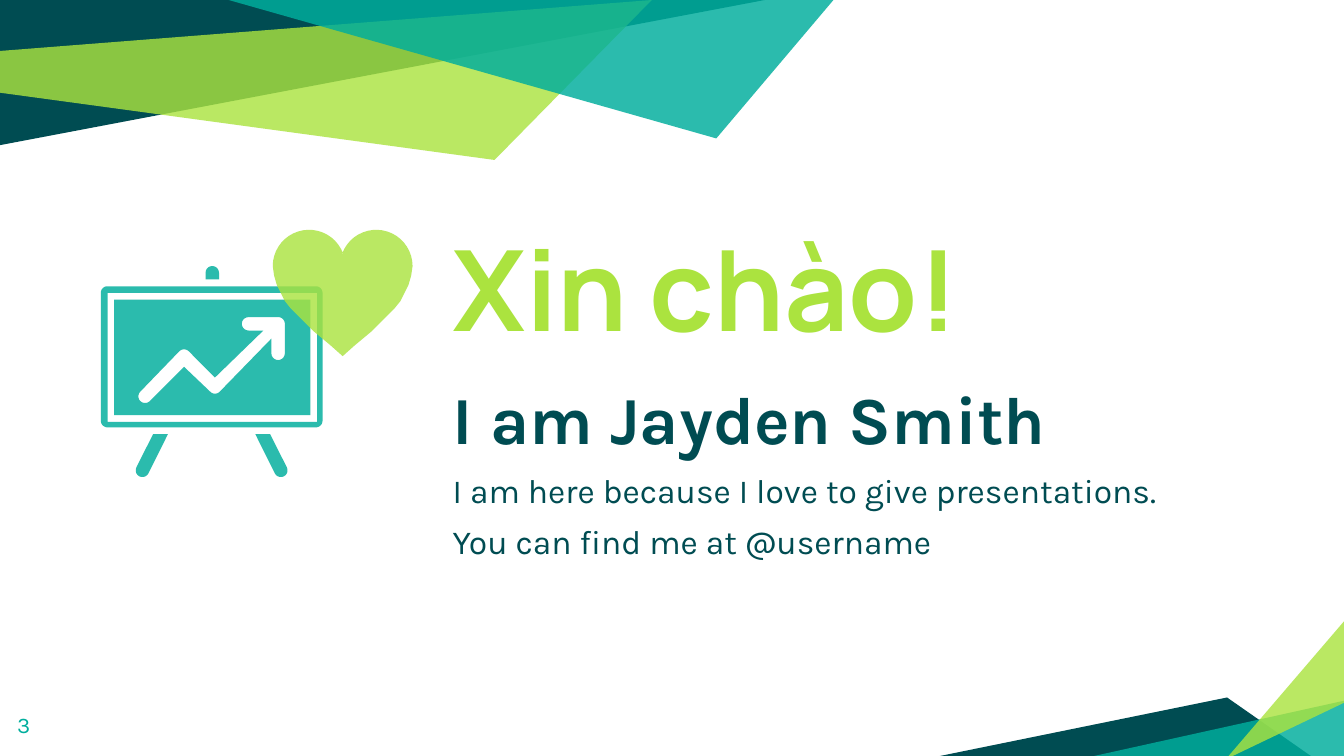
import math

import pptx
import pptx.dml.color
import pptx.enum.text
import pptx.oxml
import pptx.oxml.ns
import pptx.util

Inches = pptx.util.Inches
RGBColor = pptx.dml.color.RGBColor
Anchor = pptx.enum.text.MSO_ANCHOR

NAVY = RGBColor(0x00, 0x4C, 0x52)
TEAL = RGBColor(0x00, 0xAE, 0x9D)
LIME = RGBColor(0xAB, 0xE3, 0x3F)
OPACITY = {NAVY: 100, TEAL: 83, LIME: 81}

HEADLINE = {"name": "Manrope", "size": pptx.util.Pt(60), "bold": True}
SPEAKER = {"name": "Karla", "size": pptx.util.Pt(36), "bold": True}
DETAIL = {"name": "Karla", "size": pptx.util.Pt(18), "bold": False}
NUMBER = {"name": "Karla", "size": pptx.util.Pt(12), "bold": False}


def arc(x, y, radius, start, end, steps=10):
    """Return points on an arc; degrees run clockwise from the right."""
    angles = [math.radians(start + (end - start) * i / steps) for i in range(steps + 1)]
    return [(x + radius * math.cos(a), y + radius * math.sin(a)) for a in angles]


def rectangle(left, top, right, bottom):
    """Return the corners of a rectangle."""
    return [(left, top), (right, top), (right, bottom), (left, bottom)]


def add_outline(slide, origin, color, *contours):
    """Draw closed contours, given in inches from origin, as one filled shape."""
    placed = [[(Inches(origin[0] + x), Inches(origin[1] + y)) for x, y in contour]
              for contour in contours]
    builder = slide.shapes.build_freeform(*placed[0][0])
    for index, contour in enumerate(placed):
        if index:
            builder.move_to(*contour[0])
        builder.add_line_segments(contour[1:], close=True)
    shape = builder.convert_to_shape()
    shape.shadow.inherit = False
    shape.line.fill.background()
    shape.fill.solid()
    shape.fill.fore_color.rgb = color
    if OPACITY[color] < 100:
        tint = shape.fill._xPr.find(".//" + pptx.oxml.ns.qn("a:srgbClr"))
        tint.append(pptx.oxml.parse_xml(
            '<a:alpha xmlns:a="http://schemas.openxmlformats.org/drawingml/2006/main"'
            f' val="{OPACITY[color] * 1000}"/>'))


def add_text(slide, box, lines, anchor=Anchor.TOP, space_before=0, line_spacing=1.0):
    """Place lines of (wording, color, font format) in a box."""
    frame = slide.shapes.add_textbox(*map(Inches, box)).text_frame
    layout = {"word_wrap": True, "vertical_anchor": anchor}
    layout.update({f"margin_{side}": Inches(0.1) for side in ("left", "top", "right", "bottom")})
    for key, value in layout.items():
        setattr(frame, key, value)
    for index, (wording, color, style) in enumerate(lines):
        paragraph = frame.add_paragraph() if index else frame.paragraphs[0]
        paragraph.space_before = pptx.util.Pt(space_before)
        paragraph.line_spacing = line_spacing
        run = paragraph.add_run()
        run.text = wording
        run.font.color.rgb = color
        for key, value in style.items():
            setattr(run.font, key, value)


def add_top_bands(slide, origin):
    """Draw the navy and lime bands of the top left corner."""
    add_outline(slide, origin, NAVY, [(0, 0), (0, 1.08), (5.69, 0)])
    add_outline(slide, origin, LIME, [(-0.01, 0.38), (0, 0.69), (3.68, 1.19), (4.85, 0)])


def add_bottom_bands(slide, origin):
    """Draw the three bands of the bottom right corner."""
    add_outline(slide, origin, NAVY, [(0, 1.03), (2.79, 1.03), (2.16, 0.59)])
    add_outline(slide, origin, TEAL, [(3.05, 0.61), (3.05, 1.05), (1.06, 1.05)])
    add_outline(slide, origin, LIME, [(3.05, 0.62), (3.05, 0), (2.15, 1.05)])


def add_teal_band(slide, origin):
    """Draw the teal band that overlaps the top bands."""
    add_outline(slide, origin, TEAL, [(0, 0), (3.63, 1.03), (4.51, -0.01), (4.39, 0)])


def add_easel(slide, origin):
    """Draw the presentation board with its knob, legs and rising arrow."""
    frame = (arc(0.05, 0.2, 0.05, 180, 270) + arc(1.6, 0.2, 0.05, 270, 360)
             + arc(1.6, 1.15, 0.05, 0, 90) + arc(0.05, 1.15, 0.05, 90, 180))
    add_outline(slide, origin, TEAL, frame, rectangle(0.05, 0.2, 1.61, 1.16))
    add_outline(slide, origin, TEAL,
                [(0.78, 0.1)] + arc(0.83, 0.05, 0.05, 180, 360) + [(0.88, 0.1)])

    left_leg = [(0.5, 1.25), (0.39, 1.25)] + arc(0.31, 1.52, 0.05, 207, 27)
    right_leg = [(1.65 - x, y) for x, y in left_leg]
    for leg in (left_leg, right_leg):
        add_outline(slide, origin, TEAL, leg)

    arrow = (arc(1.1, 0.43, 0.05, 270, 90) + [(1.21, 0.48), (0.85, 0.83)]
             + arc(0.62, 0.67, 0.05, -45, -135) + arc(0.33, 0.97, 0.05, -135, -315)
             + [(0.62, 0.75)] + arc(0.85, 0.9, 0.05, 135, 45) + [(1.27, 0.54)]
             + arc(1.32, 0.65, 0.05, 180, 0) + arc(1.32, 0.43, 0.05, 0, -90))
    add_outline(slide, origin, TEAL, rectangle(0.1, 0.25, 1.56, 1.11), arrow)


def add_heart(slide, origin):
    """Draw a heart from its right half and the mirrored left half."""
    middle = 0.52
    right = arc(0.77, 0.27, 0.27, 200, 360, 20) + [
        (1.03, 0.34), (1.01, 0.41), (0.98, 0.47), (0.95, 0.53), (0.91, 0.58),
        (0.86, 0.63), (0.81, 0.68), (0.73, 0.76), (0.61, 0.86), (middle, 0.94)]
    left = [(2 * middle - x, y) for x, y in reversed(right)]
    add_outline(slide, origin, LIME, right + left)


def add_greeting(slide, origin):
    """Place the greeting and the speaker's introduction below it."""
    left, top = origin
    add_text(slide, (left, top, 5.85, 1.27), [("Xin chào!", LIME, HEADLINE)],
             Anchor.BOTTOM, line_spacing=0.9)
    add_text(slide, (left, top + 1.23, 5.85, 2.4), [
        ("I am Jayden Smith", NAVY, SPEAKER),
        ("I am here because I love to give presentations. ", NAVY, DETAIL),
        ("You can find me at @username", NAVY, DETAIL),
    ], space_before=6)


deck = pptx.Presentation()
deck.slide_width = Inches(10)
deck.slide_height = Inches(10) * 9 // 16
hello = deck.slides.add_slide(deck.slide_layouts[6])

add_top_bands(hello, (0, 0))
add_bottom_bands(hello, (6.97, 4.6))
add_teal_band(hello, (1.7, 0))
add_greeting(hello, (3.27, 1.48))
add_easel(hello, (0.75, 1.98))
add_heart(hello, (2.03, 1.71))
add_text(hello, (0.03, 5.19, 0.6, 0.43), [("3", TEAL, NUMBER)])

deck.save("out.pptx")
